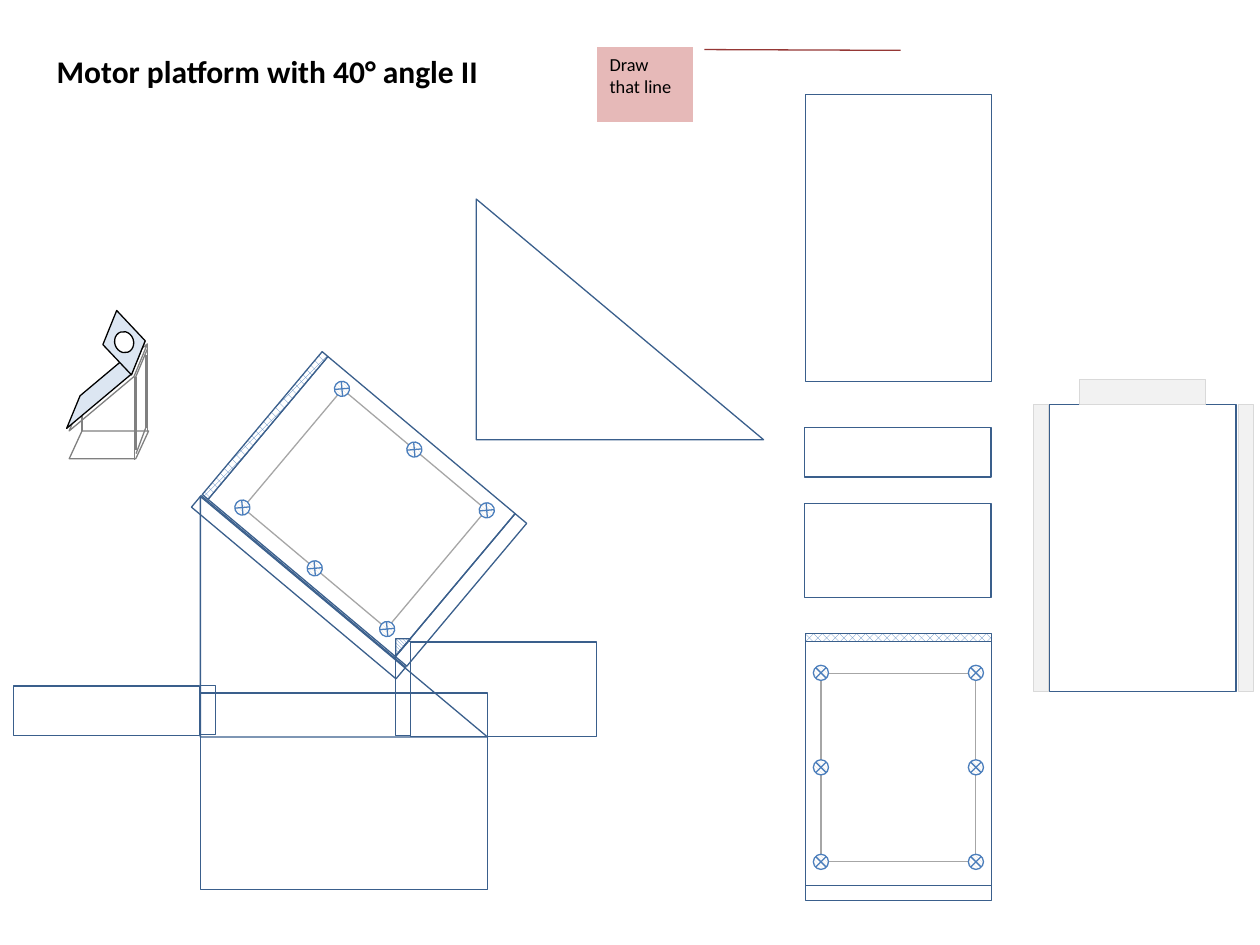
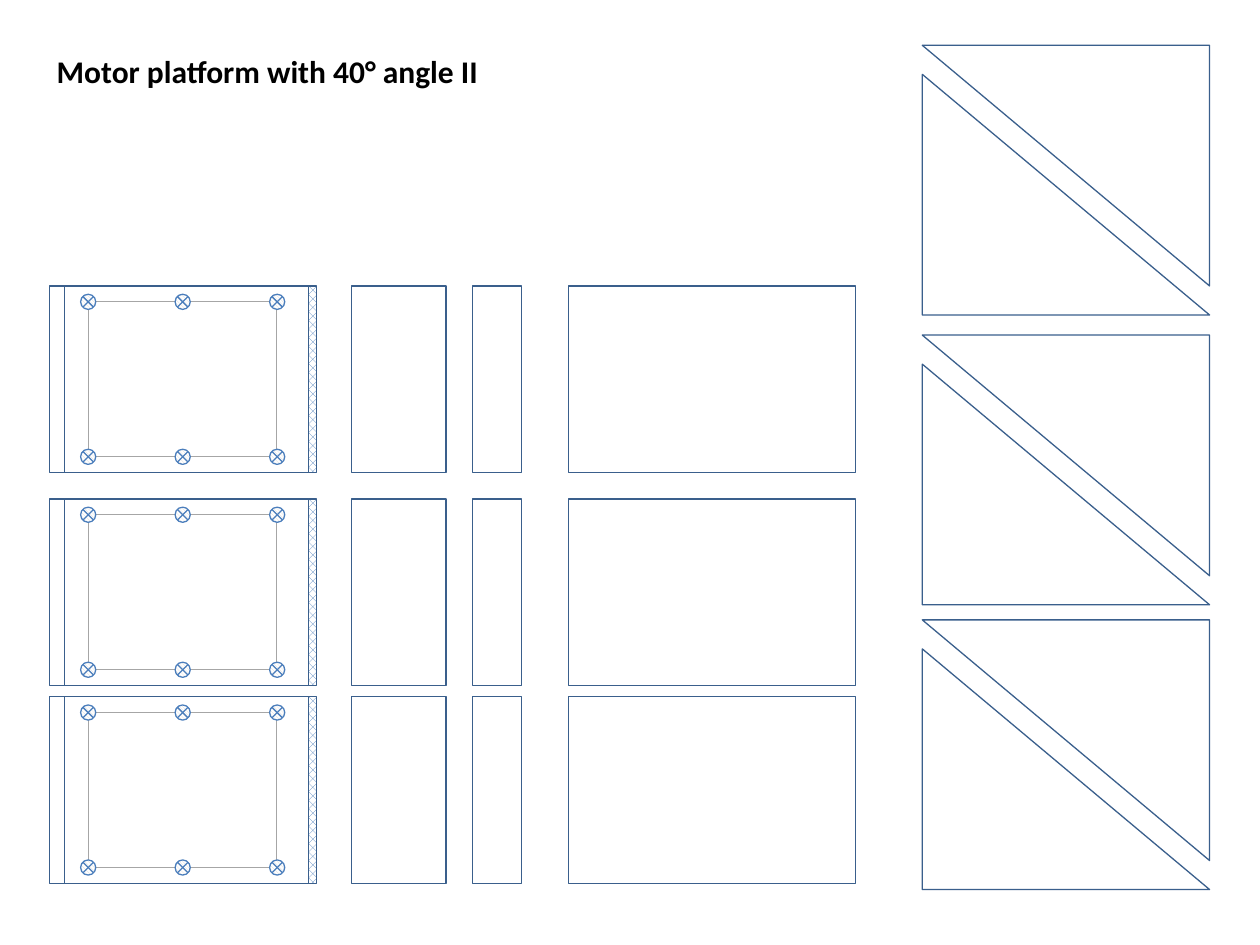
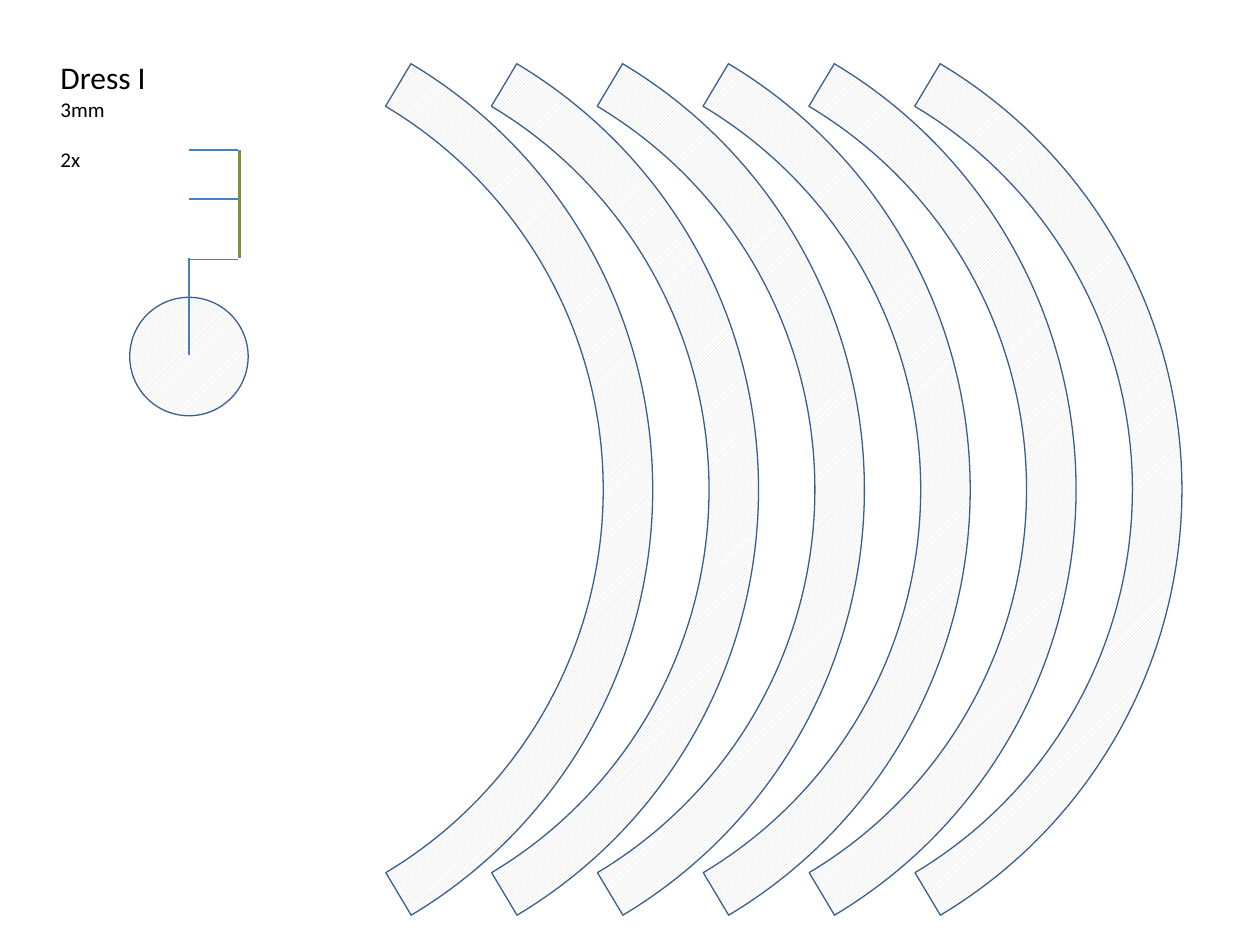
from math import cos, radians, sin

from pptx import Presentation, util as u
from pptx.dml.color import RGBColor
from pptx.enum import dml, shapes, text
from pptx.oxml.ns import qn

# Shared colours
WHITE = RGBColor(0xFF, 0xFF, 0xFF)
BLACK = RGBColor(0, 0, 0)
NAVY = RGBColor(0x3A, 0x5F, 0x8C)
BLUE = RGBColor(0x4B, 0x7E, 0xBC)
AZURE = RGBColor(0x4F, 0x81, 0xBD)
PALE = RGBColor(0xDC, 0xE6, 0xF2)
GRAY = RGBColor(0x80, 0x80, 0x80)
SILVER = RGBColor(0xA6, 0xA6, 0xA6)
MIST = RGBColor(0xD9, 0xD9, 0xD9)
SMOKE = RGBColor(0xF2, 0xF2, 0xF2)
GREEN = RGBColor(0x77, 0x93, 0x3C)
ROSE = RGBColor(0xE6, 0xB9, 0xB8)
RED = RGBColor(0x95, 0x37, 0x35)

# Shared type and hatches
FONT = "Calibri"
HEAD = "Motor platform with 40° angle II"
PAT = dml.MSO_PATTERN
DOTS = (PAT.PERCENT_50, AZURE)
DOWN = (PAT.LIGHT_DOWNWARD_DIAGONAL, MIST)
BLUEDOWN = (PAT.LIGHT_DOWNWARD_DIAGONAL, AZURE)
UP = (PAT.LIGHT_UPWARD_DIAGONAL, MIST)

KIND = shapes.MSO_SHAPE
RECT = KIND.RECTANGLE
TRI = KIND.RIGHT_TRIANGLE
SKEW = KIND.PARALLELOGRAM

# Part sizes in grid cells
WIDE, LONG, TALL = 14.8, 22.8, 19.1
MID, SLIM, EDGE = 7.5, 3.9, 1.2


class Sheet:
    """Draws on a grid of 100 columns by 75 rows."""

    def __init__(self):
        self.deck = Presentation()
        self.deck.slide_width = u.Inches(10)
        self.deck.slide_height = u.Inches(7.5)
        self.cell = self.deck.slide_width / 100
        self.slide = None

    def grid(self, *cells):
        return [u.Emu(round(c * self.cell)) for c in cells]

    def new(self, layout):
        self.slide = self.deck.slides.add_slide(self.deck.slide_layouts[layout])

    def label(self, frame, lines, wrap=True):
        """Each line is (words, size, bold, space before)."""
        frame.word_wrap = wrap
        frame.vertical_anchor = text.MSO_ANCHOR.TOP
        for i, (words, size, bold, gap) in enumerate(lines):
            par = frame.paragraphs[0] if i == 0 else frame.add_paragraph()
            par.alignment = text.PP_ALIGN.LEFT
            par.space_before = u.Pt(gap)
            run = par.add_run()
            run.text = words
            run.font.name = FONT
            run.font.size = u.Pt(size)
            run.font.bold = bold
            run.font.color.rgb = BLACK

    def holder(self, index, box, lines, wrap=True):
        item = self.slide.placeholders[index]
        item.left, item.top, item.width, item.height = self.grid(*box)
        self.label(item.text_frame, lines, wrap)
        item.text_frame.auto_size = text.MSO_AUTO_SIZE.SHAPE_TO_FIT_TEXT
        return item

    def title(self, words, box, bold=False, wrap=True):
        self.holder(0, box, [(words, 18, bold, 0)], wrap)

    def body(self, lines, box):
        item = self.holder(1, box, lines)
        for par in item.text_frame.paragraphs:
            props = par._p.get_or_add_pPr()
            props.set("marL", "0")
            props.set("indent", "0")
            props.append(props.makeelement(qn("a:buNone"), {}))

    def shape(self, kind, x, y, w, h, rot=0, fill=None, line=NAVY, adj=(), flip=""):
        item = self.slide.shapes.add_shape(kind, *self.grid(x, y, w, h))
        item.shadow.inherit = False
        item.rotation = rot
        for i, value in enumerate(adj):
            item.adjustments[i] = value
        for axis in flip:
            item._element.spPr.xfrm.set("flip" + axis, "1")
        if fill is None:
            item.fill.background()
        elif fill in (DOTS, DOWN, BLUEDOWN, UP):
            item.fill.patterned()
            item.fill.pattern, item.fill.fore_color.rgb = fill
            item.fill.back_color.rgb = WHITE
        else:
            item.fill.solid()
            item.fill.fore_color.rgb = fill
        item.line.color.rgb = line
        item.line.width = u.Pt(0.75)
        return item

    def mid(self, kind, x, y, w, h, rot=0, **look):
        """A shape placed by its centre."""
        return self.shape(kind, x - w / 2, y - h / 2, w, h, rot, **look)

    def line(self, x1, y1, x2, y2, color, width=0.75):
        item = self.slide.shapes.add_connector(
            shapes.MSO_CONNECTOR.STRAIGHT, *self.grid(x1, y1, x2, y2))
        item.line.color.rgb = color
        item.line.width = u.Pt(width)
        props = item._element.spPr
        props.append(props.makeelement(qn("a:effectLst"), {}))

    def plate(self, x, y, rot):
        """Motor plate with drill holes, turned about its centre."""
        c, s = cos(radians(rot)), sin(radians(rot))

        def part(kind, dx, dy, w, h, **look):
            self.mid(kind, x + dx * c - dy * s, y + dx * s + dy * c, w, h, rot, **look)

        part(RECT, 0, 0, 19.4, WIDE)
        part(RECT, 0.3, 0, 14.9, 12.3, line=SILVER)
        part(RECT, -10, 0, 0.6, WIDE, fill=DOTS)
        for dx in (-7.2, 0.3, 7.8):
            for dy in (-6.15, 6.15):
                part(KIND.FLOWCHART_SUMMING_JUNCTION, dx, dy, EDGE, EDGE,
                     fill=DOWN, line=BLUE)
        part(RECT, 10.3, 0, EDGE, WIDE)

    def model(self):
        """Small view of the finished stand."""
        self.shape(SKEW, 5.5, 34.2, 6.3, 2.2, line=GRAY, adj=[0.46])
        for ends in ((6.5, 31.6, 6.5, 34.2), (10.7, 29.9, 10.7, 36.5),
                     (11.7, 27.3, 11.7, 34.2)):
            self.line(*ends, GRAY)
        self.shape(SKEW, 4, 30.1, 9.2, 1.3, 320, line=GRAY, adj=[1.91])
        for ends in ((10.8, 29.9, 10.8, 35.7), (11.6, 28.2, 11.6, 34),
                     (11.7, 27.7, 10.7, 30.1), (11.7, 33.6, 10.8, 36)):
            self.line(*ends, GRAY)
        self.shape(SKEW, 3.8, 29.9, 9.2, 1.3, 320, fill=PALE, line=BLACK, adj=[1.91])
        self.shape(SKEW, 7.7, 25.7, 4.3, 3, 292, fill=PALE, line=BLACK, adj=[0.46])
        self.shape(KIND.OVAL, 9.1, 26.3, 1.5, 1.7, 161.3, fill=WHITE, line=BLACK)


def assembly(s):
    s.new(5)
    s.title(HEAD, (3.5, 3.6, 35.8, 4), True, False)
    # Flat parts
    s.mid(RECT, 27.3, 62.8, 15.6, LONG, 90)
    s.mid(RECT, 71.25, 43.7, MID, WIDE, 90)
    s.mid(RECT, 71.25, 35.9, SLIM, WIDE, 90)
    s.model()
    s.shape(RECT, 31.4, 50.9, EDGE, MID)
    s.shape(TRI, 31.4, 50.7, EDGE, 1.4, fill=BLUEDOWN, flip="V")
    s.shape(RECT, 63.9, 7.5, WIDE, LONG, 180)
    # Note with its line
    note = s.shape(KIND.LINE_CALLOUT_1_NO_BORDER, 47.4, 3.7, 7.6, 6, fill=ROSE,
                   line=RED, adj=(0.04, 1.12, 0.05, 3.17))
    s.label(note.text_frame, [("Draw that line", 10.5, False, 0)])
    # Mounted parts
    s.plate(28.7, 40.2, 40)
    s.shape(RECT, 15.9, 54.4, EDGE, SLIM)
    s.mid(RECT, 39.95, 54.7, MID, WIDE, 90)
    s.mid(RECT, 8.45, 56.4, SLIM, WIDE, 90)
    s.mid(RECT, 23.7, 46.6, EDGE, 21.2, 310)
    s.plate(71.3, 60.6, 90)
    for x, y in ((15.9, 39.4), (37.8, 15.8)):
        s.shape(TRI, x, y, LONG, TALL)
    # Back panel with glue tabs
    s.shape(RECT, 83.3, 32.1, WIDE, LONG, 180)
    for tab in ((98.3, 32.1, EDGE, LONG), (82, 32.1, EDGE, LONG), (85.7, 30.1, 10, 2)):
        s.shape(RECT, *tab, fill=SMOKE, line=MIST)


def cutting(s):
    s.new(5)
    s.title(HEAD, (3.5, 3.6, 35.8, 4), True, False)
    # One row of parts for each platform
    for top in (22.7, 39.6, 55.3):
        axis = top + WIDE / 2
        s.shape(RECT, 27.9, top, MID, WIDE, 180)
        s.shape(RECT, 37.5, top, SLIM, WIDE, 180)
        s.mid(RECT, 56.5, axis, WIDE, LONG, 270)
        s.plate(14.8, axis, 180)
    # Pairs of side walls
    for top in (3.6, 26.6, 49.2):
        s.shape(TRI, 73.2, top + 2.3, LONG, TALL)
        s.shape(TRI, 73.2, top, LONG, TALL, flip="HV")


def dress(s):
    s.new(1)
    # Six equal bands
    for i in range(6):
        s.shape(KIND.BLOCK_ARC, -26.9 + 8.4 * i, -0.5, 78.7, 78.7, 120,
                fill=UP, adj=(108.49, 179.49, 0.05))
    s.title("Dress I", (3.8, 4.1, 39.9, 4))
    s.body([("3mm", 12, False, 0), ("2x", 12, False, 14.4)], (3.8, 7.15, 39.9, 7))
    # Disc and bracket
    s.line(15, 20.6, 18.9, 20.6, BLUE)
    s.line(19, 11.9, 19, 20.5, GREEN, 1.5)
    s.shape(KIND.OVAL, 10.3, 23.6, 9.4, 9.4, fill=UP)
    s.line(15, 20.5, 15, 28.2, BLUE)
    for y in (15.8, 11.9):
        s.line(15, y, 18.9, y, BLUE)


def main():
    s = Sheet()
    assembly(s)
    cutting(s)
    dress(s)
    s.deck.save("out.pptx")


if __name__ == "__main__":
    main()
